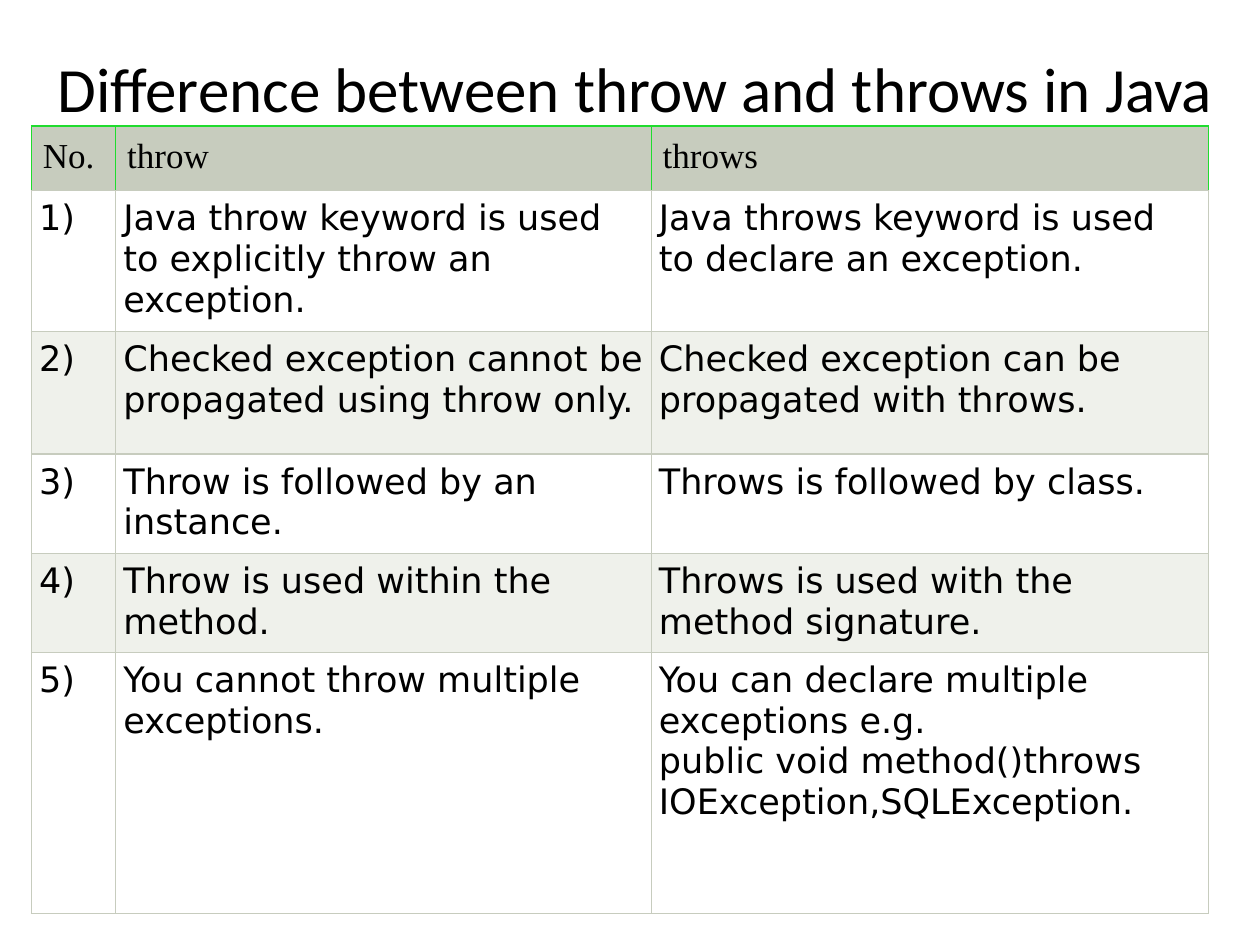
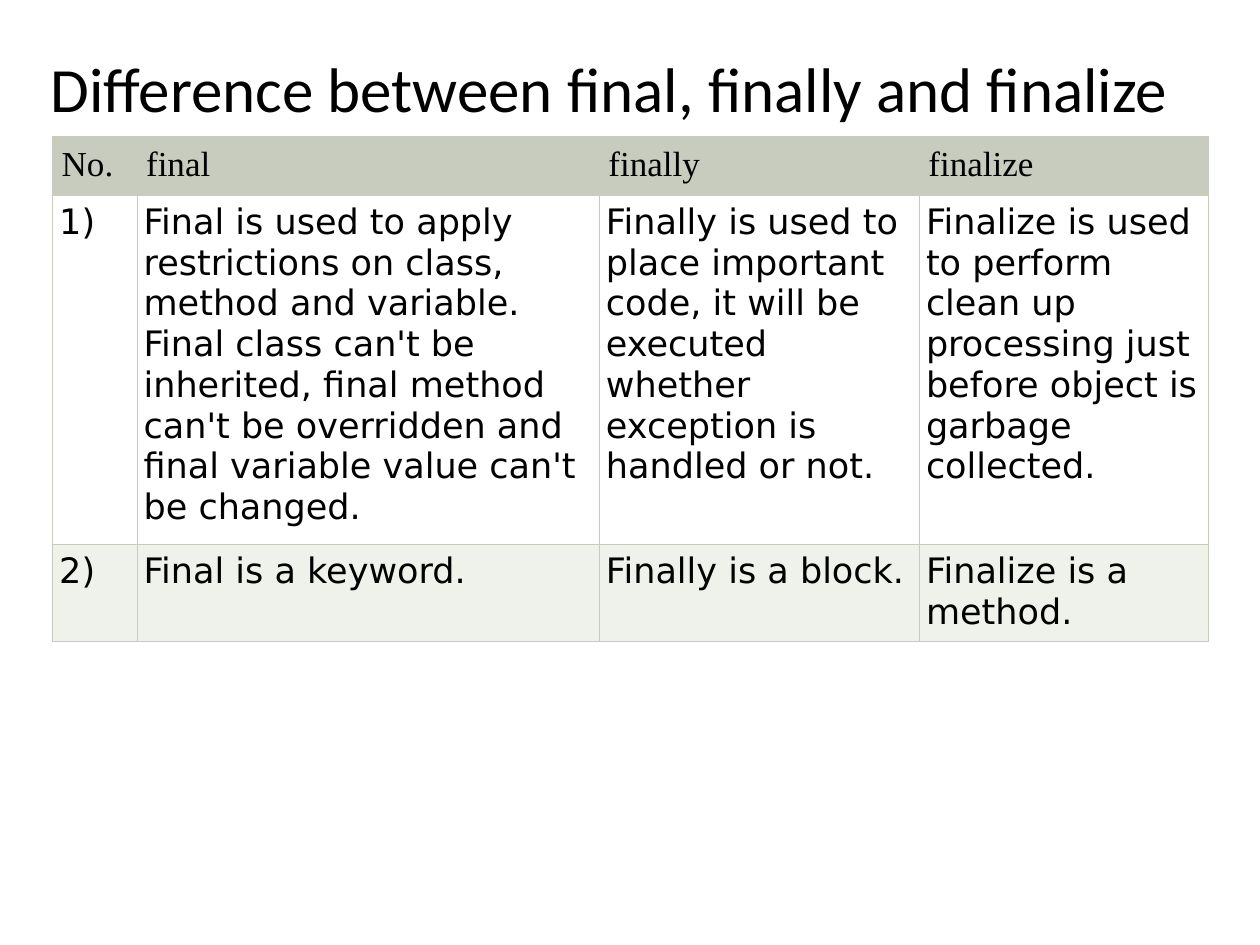
from pptx import Presentation
from pptx.dml.color import RGBColor as RGB
from pptx.enum.text import MSO_ANCHOR as Anchor, PP_ALIGN as Align
from pptx.oxml.ns import qn
from pptx.util import Inches, Pt
from lxml.etree import SubElement as Sub

BLACK = RGB(0, 0, 0)
WHITE = RGB(0xFF, 0xFF, 0xFF)
SAGE = RGB(0xC7, 0xCC, 0xBE)
PALE = RGB(0xEF, 0xF1, 0xEB)
GREEN = RGB(0x20, 0xDC, 0x2F)

TITLE_FONT = "Calibri"
HEAD_FONT = "Times New Roman"
BODY_FONT = "DejaVu Sans"

THROW_ROWS = [
    ("No.", "throw", "throws"),
    ("1)", "Java throw keyword is used to explicitly throw an exception.",
     "Java throws keyword is used to declare an exception."),
    ("2)", "Checked exception cannot be propagated using throw only.",
     "Checked exception can be propagated with throws."),
    ("3)", "Throw is followed by an instance.",
     "Throws is followed by class."),
    ("4)", "Throw is used within the method.",
     "Throws is used with the method signature."),
    ("5)", "You cannot throw multiple exceptions.",
     "You can declare multiple exceptions e.g.\v"
     "public void method()throws IOException,SQLException."),
]

FINAL_ROWS = [
    ("No.", "final", "finally", "finalize"),
    ("1)", "Final is used to apply restrictions on class, method and "
     "variable. Final class can't be inherited, final method can't be "
     "overridden and final variable value can't be changed.",
     "Finally is used to place important code, it will be executed whether "
     "exception is handled or not.",
     "Finalize is used to perform clean up processing just before object is "
     "garbage collected."),
    ("2)", "Final is a keyword.", "Finally is a block.",
     "Finalize is a method."),
]


def write(frame, text, font=BODY_FONT, size=20, align=Align.LEFT):
    """Put one formatted paragraph into a text frame."""
    frame.word_wrap = True
    para = frame.paragraphs[0]
    para.text = text
    para.alignment = align
    for run in para.runs:
        run.font.name = font
        run.font.size = Pt(size)
        run.font.color.rgb = BLACK


def add_title(slide, text, left, width):
    """Add the centred slide title."""
    box = slide.shapes.add_textbox(Inches(left), Inches(0.3),
                                   Inches(width), Inches(0.78))
    box.text_frame.vertical_anchor = Anchor.MIDDLE
    write(box.text_frame, text, font=TITLE_FONT, size=36, align=Align.CENTER)


def set_edges(cell, top):
    """Draw the cell borders: sage below, the given colour elsewhere."""
    props = cell._tc.get_or_add_tcPr()
    for side, color in zip("LRTB", (top, top, top, SAGE)):
        line = Sub(props, qn(f"a:ln{side}"), w=str(Pt(0.75)))
        fill = Sub(line, qn("a:solidFill"))
        Sub(fill, qn("a:srgbClr"), val=str(color))


def fill_cell(cell, text, fill, pad, edge=SAGE, font=BODY_FONT):
    """Set the text, padding, borders and fill of a cell."""
    write(cell.text_frame, text, font=font)
    cell.margin_left = cell.margin_right = Inches(pad)
    cell.margin_top = cell.margin_bottom = Inches(pad)
    set_edges(cell, edge)
    cell.fill.solid()
    cell.fill.fore_color.rgb = fill


def add_grid(slide, rows, left, top, widths, heights, pads, edge=SAGE):
    """Add a table with a header row and banded body rows."""
    table = slide.shapes.add_table(
        len(rows), len(widths), Inches(left), Inches(top),
        Inches(sum(widths)), Inches(sum(heights))).table
    table.first_row = table.horz_banding = False
    for col, width in zip(table.columns, widths):
        col.width = Inches(width)
    for row, height in zip(table.rows, heights):
        row.height = Inches(height)
    head_pad, body_pad = pads
    for r, texts in enumerate(rows):
        for c, text in enumerate(texts):
            cell = table.cell(r, c)
            if r == 0:
                fill_cell(cell, text, SAGE, head_pad, edge, HEAD_FONT)
            else:
                fill_cell(cell, text, WHITE if r % 2 else PALE, body_pad)


def main():
    """Build and save the two comparison slides."""
    deck = Presentation()
    deck.slide_width, deck.slide_height = Inches(10), Inches(7.5)
    blank = deck.slide_layouts[6]

    slide = deck.slides.add_slide(blank)
    add_title(slide, "Difference between throw and throws in Java", 0.33, 9.42)
    add_grid(slide, THROW_ROWS, 0.25, 1, (0.67, 4.25, 4.42),
             (0.5, 1.08, 0.97, 0.76, 0.76, 2.07), (0.09, 0.06), edge=GREEN)

    slide = deck.slides.add_slide(blank)
    add_title(slide, "Difference between final, finally and finalize",
              0.17, 9.33)
    add_grid(slide, FINAL_ROWS, 0.42, 1.08, (0.67, 3.67, 2.54, 2.29),
             (0.45, 2.68, 0.75), (0.07, 0.05))

    deck.save("out.pptx")


main()
